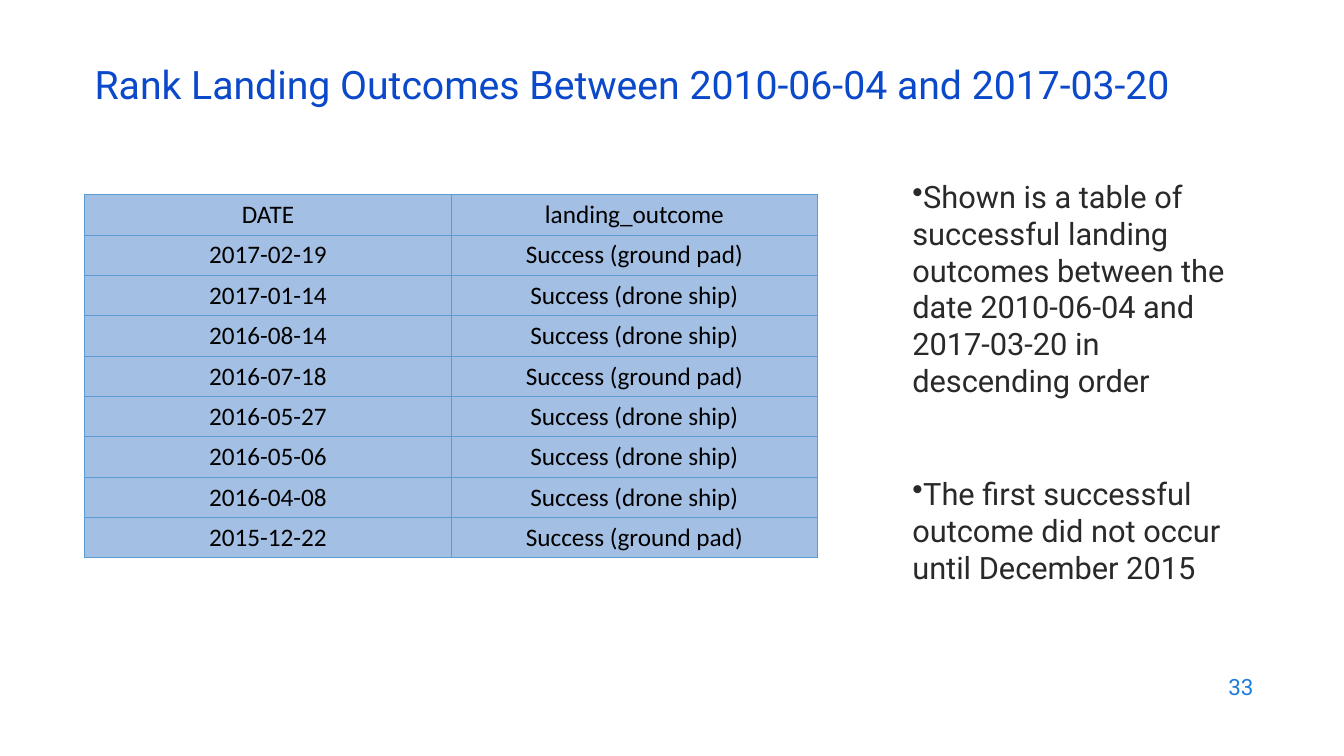
from lxml.etree import SubElement
from pptx import Presentation
from pptx.dml.color import RGBColor
from pptx.enum.text import MSO_ANCHOR as Anchor, PP_ALIGN as Align
from pptx.oxml.ns import qn
from pptx.util import Inches, Pt

OUTCOMES = [
    ("DATE", "landing_outcome"),
    ("2017-02-19", "Success (ground pad)"),
    ("2017-01-14", "Success (drone ship)"),
    ("2016-08-14", "Success (drone ship)"),
    ("2016-07-18", "Success (ground pad)"),
    ("2016-05-27", "Success (drone ship)"),
    ("2016-05-06", "Success (drone ship)"),
    ("2016-04-08", "Success (drone ship)"),
    ("2015-12-22", "Success (ground pad)"),
]
FINDINGS = [
    "Shown is a table of successful landing outcomes between the date "
    "2010-06-04 and 2017-03-20 in descending order",
    "The first successful outcome did not occur until December 2015",
]


def color(value):
    return RGBColor.from_string(value)


class SlideBuilder:
    text_font = "Roboto"
    table_font = "Calibri"
    cell_fill = "A3C0E4"
    border = "5B9BD5"

    def __init__(self, page):
        self.page = page

    def style(self, para, font, size, ink, align=Align.LEFT):
        para.alignment = align
        para.font.name = font
        para.font.size = Pt(size)
        para.font.color.rgb = color(ink)

    def text(self, area, lines, size, ink, anchor=Anchor.MIDDLE,
             align=Align.LEFT, spacing=None, gap=0, bullet=False):
        box = self.page.shapes.add_textbox(*map(Inches, area))
        frame = box.text_frame
        frame.word_wrap = True
        frame.vertical_anchor = anchor
        for index, line in enumerate(lines):
            para = frame.paragraphs[0] if index == 0 else frame.add_paragraph()
            para.text = line
            if spacing:
                para.line_spacing = spacing
            if index:
                para.space_before = Pt(gap)
            if bullet:
                SubElement(para._p.get_or_add_pPr(), qn("a:buChar"), char="•")
            self.style(para, self.text_font, size, ink, align)

    def table(self, area, rows):
        shape = self.page.shapes.add_table(
            len(rows), len(rows[0]), *map(Inches, area))
        for row, values in zip(shape.table.rows, rows):
            for cell, value in zip(row.cells, values):
                self.cell(cell, value)

    def cell(self, cell, value):
        cell.text = value
        cell.vertical_anchor = Anchor.MIDDLE
        cell.margin_top = cell.margin_bottom = Inches(0.05)
        self.style(cell.text_frame.paragraphs[0], self.table_font, 18,
                   "000000", Align.CENTER)
        # Borders come before the fill in the cell properties
        properties = cell._tc.get_or_add_tcPr()
        for side in ("lnL", "lnR", "lnT", "lnB"):
            line = SubElement(properties, qn(f"a:{side}"), w=str(Pt(0.5)))
            fill = SubElement(line, qn("a:solidFill"))
            SubElement(fill, qn("a:srgbClr"), val=self.border)
        cell.fill.solid()
        cell.fill.fore_color.rgb = color(self.cell_fill)


def main():
    deck = Presentation()
    deck.slide_width, deck.slide_height = Inches(13.33), Inches(7.5)
    builder = SlideBuilder(deck.slides.add_slide(deck.slide_layouts[6]))

    # Page number
    builder.text((9.53, 6.59, 3, 0.44), ["33"], 16, "1C7DDB",
                 align=Align.RIGHT)
    # Findings
    builder.text((8.95, 1.71, 3.39, 4.88), FINDINGS, 22, "292929",
                 anchor=Anchor.TOP, gap=54, bullet=True)
    # Title
    builder.text((0.84, 0.59, 11.5, 0.6),
                 ["Rank Landing Outcomes Between 2010-06-04 and 2017-03-20"],
                 28, "0B49CB", spacing=0.7)
    # Landing outcomes
    builder.table((0.84, 1.93, 7.27, 3.6), OUTCOMES)

    deck.save("out.pptx")


if __name__ == "__main__":
    main()
